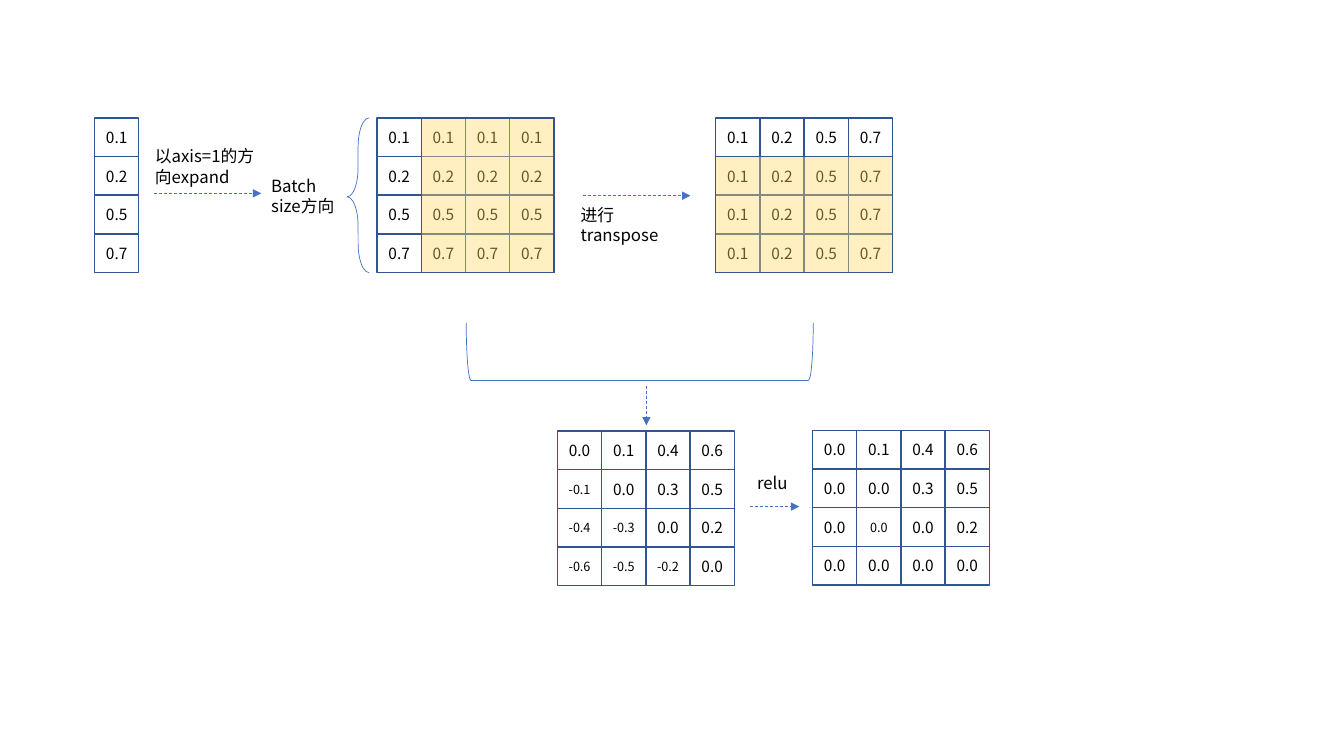
"""Build a slide showing expand, transpose, subtraction and relu on a score vector."""
from lxml import etree
from pptx import Presentation
from pptx.dml.color import RGBColor
from pptx.enum.dml import MSO_LINE
from pptx.enum.shapes import MSO_CONNECTOR, MSO_SHAPE
from pptx.enum.text import MSO_ANCHOR, PP_ALIGN
from pptx.oxml.ns import qn
from pptx.util import Inches, Pt

RECTANGLE = MSO_SHAPE.RECTANGLE
LEFT_BRACE = MSO_SHAPE.LEFT_BRACE
LEFT_BRACKET = MSO_SHAPE.LEFT_BRACKET
STRAIGHT = MSO_CONNECTOR.STRAIGHT
DASH = MSO_LINE.DASH
MIDDLE = MSO_ANCHOR.MIDDLE
LEFT, CENTER = PP_ALIGN.LEFT, PP_ALIGN.CENTER

COLORS = {"border": "325491", "accent": "4472C4", "highlight": "FFD966", "text": "000000"}
FONT = "Noto Sans CJK SC"
WIDTH, HEIGHT = Inches(13.33), Inches(7.5)
COLUMN, ROW = WIDTH / 30.4, HEIGHT / 19.55

SCORES = ["0.1", "0.2", "0.5", "0.7"]
VECTOR = [[score] for score in SCORES]
EXPANDED = [[score] * 4 for score in SCORES]
TRANSPOSED = [SCORES] * 4
DIFFERENCES = [
    ["0.0", "0.1", "0.4", "0.6"],
    ["-0.1", "0.0", "0.3", "0.5"],
    ["-0.4", "-0.3", "0.0", "0.2"],
    ["-0.6", "-0.5", "-0.2", "0.0"],
]
RELU = [["0.0" if value.startswith("-") else value for value in row] for row in DIFFERENCES]


class Diagram:
    """Draw styled elements on one slide, measured in grid columns and rows."""

    def __init__(self, slide):
        self.slide = slide

    def box(self, column, row, columns, rows):
        return [round(n) for n in (column * COLUMN, row * ROW, columns * COLUMN, rows * ROW)]

    def outline(self, kind, box, color, width):
        shape = self.slide.shapes.add_shape(kind, *self.box(*box))
        shape.shadow.inherit = False
        shape.fill.background()
        shape.line.color.rgb = RGBColor.from_string(COLORS[color])
        shape.line.width = Pt(width)
        return shape

    def set_text(self, shape, text, size, alignment):
        paragraph = shape.text_frame.paragraphs[0]
        paragraph.text = text
        paragraph.alignment = alignment
        font = paragraph.font
        font.size, font.name = Pt(size), FONT
        font.color.rgb = RGBColor.from_string(COLORS["text"])
        properties = paragraph._p.pPr.find(qn("a:defRPr"))
        etree.SubElement(properties, qn("a:ea"), typeface=FONT)

    def matrix(self, column, row, values, small_cells=()):
        for i, line in enumerate(values):
            for j, value in enumerate(line):
                cell = self.outline(RECTANGLE, (column + j, row + i, 1, 1), "border", 1)
                frame = cell.text_frame
                frame.margin_left = frame.margin_right = 0
                frame.vertical_anchor = MIDDLE
                small = value.startswith("-") or (i, j) in small_cells
                self.set_text(cell, value, 9 if small else 11, CENTER)

    def highlight(self, *box):
        shape = self.outline(RECTANGLE, box, "border", 1)
        shape.fill.solid()
        shape.fill.fore_color.rgb = RGBColor.from_string(COLORS["highlight"])
        color = shape._element.spPr.find(qn("a:solidFill"))[0]
        etree.SubElement(color, qn("a:alpha"), val="40000")

    def brace(self, *box):
        shape = self.outline(LEFT_BRACE, box, "accent", 0.5)
        shape.adjustments[0], shape.adjustments[1] = 1.31, 0.51

    def bracket(self, *box):
        self.outline(LEFT_BRACKET, box, "accent", 0.5).rotation = 270

    def arrow(self, column, row, columns, rows):
        left, top, width, height = self.box(column, row, columns, rows)
        connector = self.slide.shapes.add_connector(
            STRAIGHT, left, top, left + width, top + height)
        connector.line.color.rgb = RGBColor.from_string(COLORS["accent"])
        connector.line.width = Pt(0.5)
        connector.line.dash_style = DASH
        properties = connector._element.spPr
        etree.SubElement(properties.find(qn("a:ln")), qn("a:tailEnd"), type="triangle")
        etree.SubElement(properties, qn("a:effectLst"))

    def label(self, text, *box):
        shape = self.slide.shapes.add_textbox(*self.box(*box))
        shape.text_frame.word_wrap = True
        self.set_text(shape, text, 12, LEFT)


def main():
    presentation = Presentation()
    presentation.slide_width, presentation.slide_height = WIDTH, HEIGHT
    diagram = Diagram(presentation.slides.add_slide(presentation.slide_layouts[6]))

    diagram.matrix(2.14, 3.05, VECTOR)
    diagram.label("以axis=1的方向expand", 3.28, 3.65, 2.74, 1.3)
    diagram.arrow(3.49, 5, 2.42, 0)

    diagram.label("Batch size方向", 5.91, 4.41, 2.19, 1.3)
    diagram.brace(7.85, 3.05, 0.5, 4)
    diagram.matrix(8.53, 3.05, EXPANDED)
    diagram.highlight(9.53, 3.05, 3, 4)

    diagram.arrow(13.18, 5.06, 2.44, 0)
    diagram.label("进行transpose", 12.91, 5.16, 2.9, 0.78)
    diagram.matrix(16.19, 3.05, TRANSPOSED)
    diagram.highlight(16.19, 4.05, 4, 3)

    diagram.bracket(13.82, 4.61, 1.3, 8.97)
    diagram.arrow(14.62, 9.98, 0, 1.02)
    diagram.matrix(12.61, 11.15, DIFFERENCES)

    diagram.label("relu", 16.9, 12.09, 1.3, 0.78)
    diagram.arrow(16.97, 13.1, 1.11, 0)
    diagram.matrix(18.38, 11.13, RELU, small_cells={(2, 1)})

    presentation.save("out.pptx")


if __name__ == "__main__":
    main()
